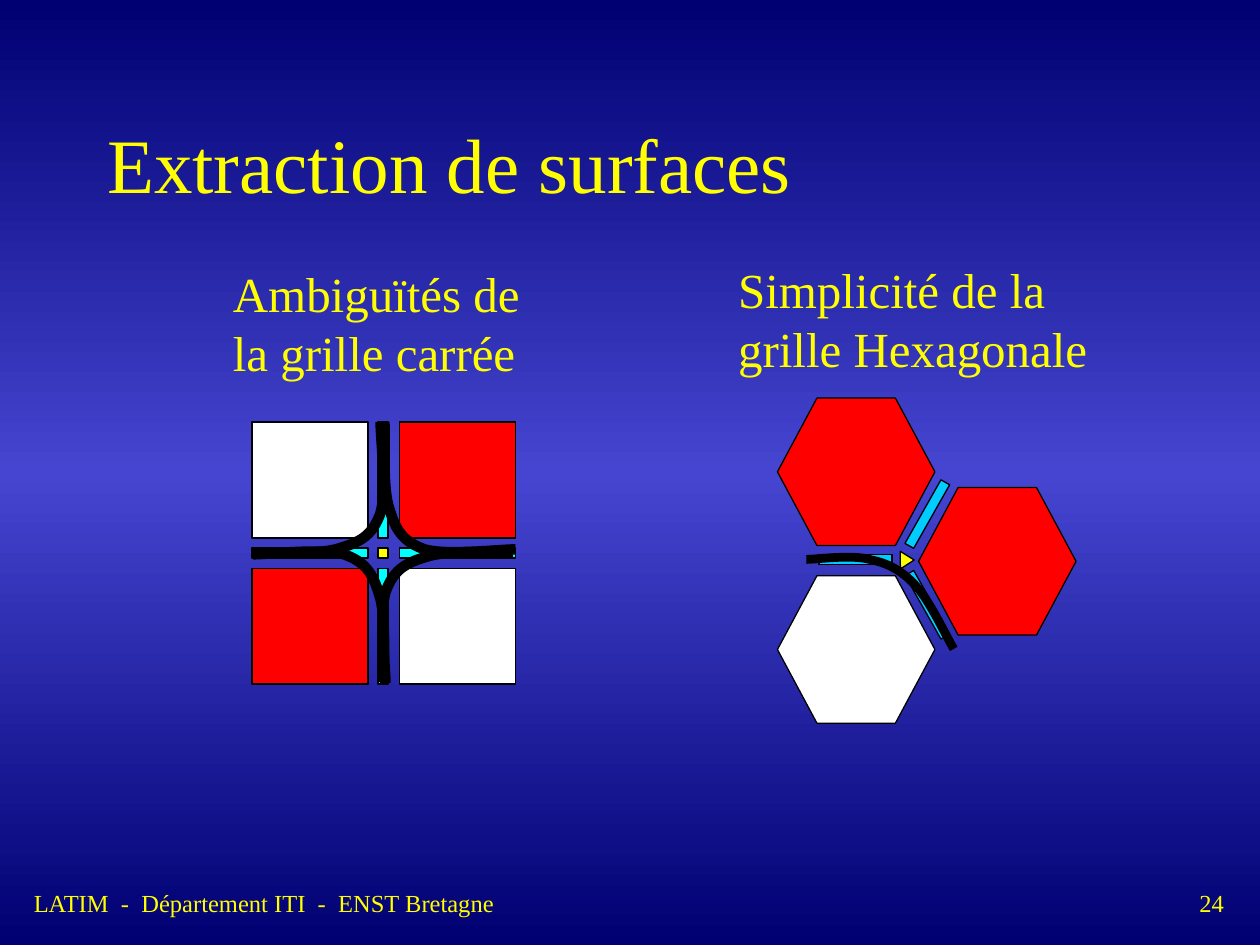
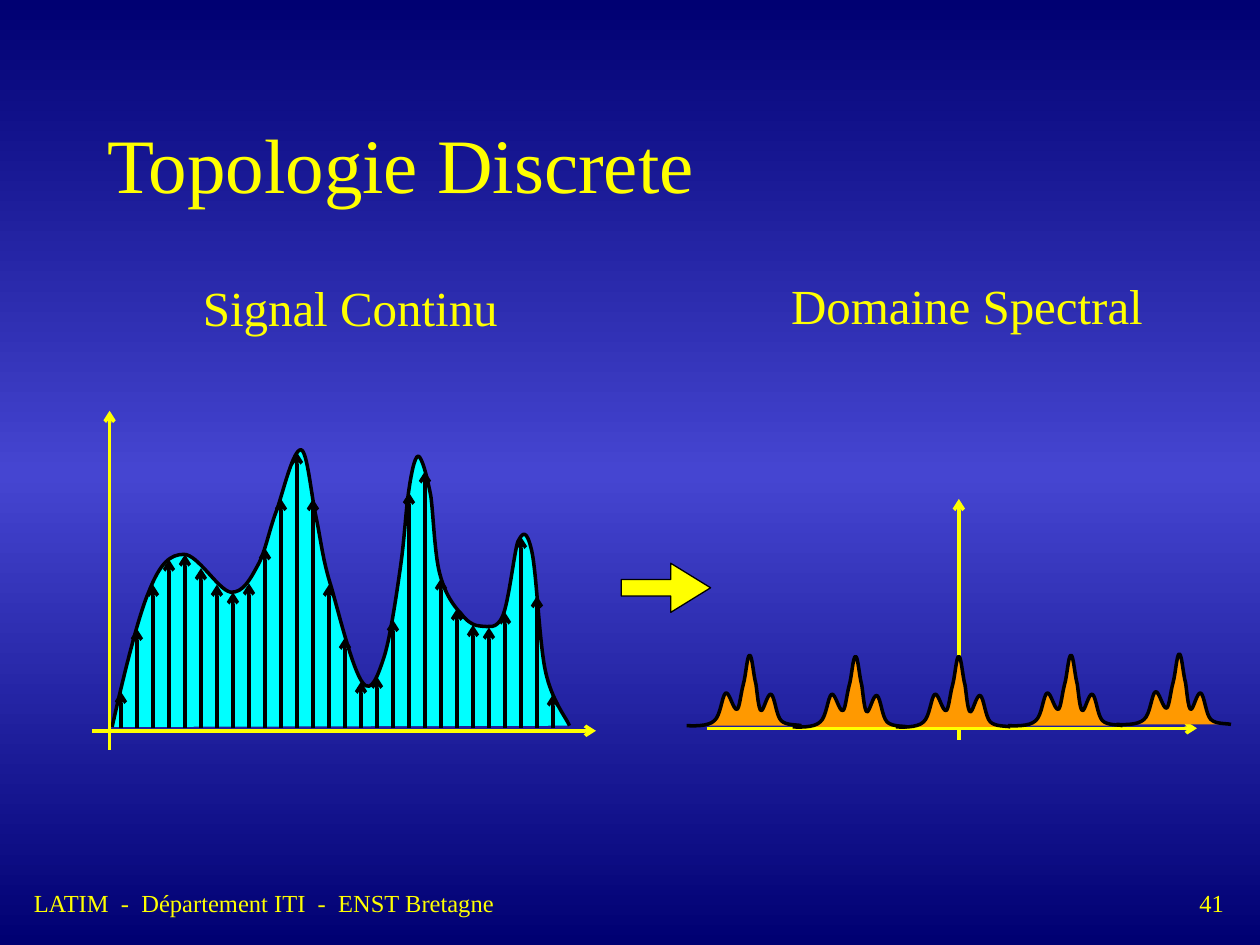
from copy import deepcopy
from itertools import product

from pptx import Presentation
from pptx.dml.color import RGBColor
from pptx.enum.shapes import MSO_CONNECTOR, MSO_SHAPE as SHAPE
from pptx.enum.text import MSO_ANCHOR, MSO_AUTO_SIZE, PP_ALIGN as ALIGN
from pptx.oxml.ns import qn
from pptx.oxml.xmlchemy import OxmlElement
from pptx.util import Emu, Pt

PX = 9144  # 100 px to the inch

NAVY = RGBColor(0x00, 0x00, 0x72)
INDIGO = RGBColor(0x45, 0x45, 0xD1)
YELLOW = RGBColor(0xFF, 0xFF, 0x00)
WHITE = RGBColor(0xFF, 0xFF, 0xFF)
BLACK = RGBColor(0x00, 0x00, 0x00)
RED = RGBColor(0xFF, 0x00, 0x00)
CYAN = RGBColor(0x00, 0xFF, 0xFF)
SKY = RGBColor(0x00, 0xCC, 0xFF)
ORANGE = RGBColor(0xFF, 0x99, 0x00)

FOOTER = "LATIM  -  Département ITI  -  ENST Bretagne"

# Each curve: a start point, then three points for each Bézier segment.
SURFACE_ARM = [
    (201, 440), (213, 440), (256, 435), (273, 440),
    (290, 446), (296, 455), (301, 472), (307, 489), (304, 530), (305, 541)]
ARM_PLACES = [(201, 435, 0), (303, 335, 180), (301, 436, 270), (201, 335, 90)]

HEX_SURFACE = [
    (640, 444), (648, 444), (676, 440), (690, 444),
    (705, 447), (716, 453), (727, 465), (738, 477), (751, 505), (757, 515)]

SIGNAL = [
    (89, 577), (93, 559), (108, 493), (118, 470),
    (127, 447), (135, 440), (146, 440), (157, 440), (173, 468), (183, 470),
    (193, 471), (199, 459), (205, 448), (211, 437), (214, 419), (220, 404),
    (225, 389), (233, 356), (239, 357), (244, 358), (247, 393), (251, 411),
    (255, 430), (256, 444), (263, 466), (269, 487), (280, 532), (288, 542),
    (295, 551), (300, 536), (305, 521), (310, 505), (315, 470), (318, 449),
    (321, 428), (322, 407), (324, 393), (326, 378), (329, 362), (332, 362),
    (335, 363), (339, 378), (342, 394), (344, 409), (345, 440), (349, 455),
    (353, 471), (360, 481), (366, 487), (371, 494), (377, 497), (382, 497),
    (388, 497), (394, 500), (399, 489), (404, 477), (408, 439), (411, 430),
    (415, 422), (418, 420), (422, 437), (426, 455), (428, 510), (433, 533),
    (438, 556), (449, 569), (452, 576)]

SAMPLE_TOPS = [
    549, 499, 464, 444, 440, 451, 464, 470, 463, 435, 396, 359, 396, 464,
    506, 541, 537, 492, 391, 374, 459, 483, 496, 498, 486, 426, 473, 551]
SAMPLE_LEFT, SAMPLE_STEP, SAMPLE_BASE = 96, 12.7, 578

SPECTRUM = [
    (711, 577), (715, 577), (728, 578), (733, 573),
    (738, 569), (739, 553), (742, 551), (745, 550), (748, 565), (751, 564),
    (753, 563), (754, 551), (756, 544), (758, 537), (759, 521), (761, 521),
    (763, 521), (764, 537), (766, 544), (767, 551), (768, 564), (770, 565),
    (772, 566), (775, 551), (778, 552), (781, 554), (782, 569), (786, 573),
    (790, 577), (799, 576), (802, 577)]
SPECTRUM_PLACES = [(711, 521), (800, 520), (886, 519), (629, 521), (545, 520)]


def px(*lengths):
    return [Emu(round(n * PX)) for n in lengths]


class Deck:
    FONT = {"name": "Times New Roman", "bold": False}

    def __init__(self):
        self.prs = Presentation()
        self.prs.slide_width, self.prs.slide_height = px(1000, 750)
        self.slide = None
        self.paint_master()

    def paint_master(self):
        master = self.prs.slide_master
        fill = master.background.fill
        fill.gradient()
        fill.gradient_angle = 90
        stops = master.element.find(".//" + qn("a:gsLst"))
        while len(stops) > 2:
            stops.remove(stops[-1])
        stops.insert(1, deepcopy(stops[0]))
        for stop, (position, color) in zip(
                fill.gradient_stops, [(0, NAVY), (0.5, INDIGO), (1, NAVY)]):
            stop.position = position
            stop.color.rgb = color

    def new_slide(self, title, number):
        self.slide = self.prs.slides.add_slide(self.prs.slide_layouts[5])
        self.text(number, 942, 700, 58, 34, 14, before=8.8)
        self.text(FOOTER, 17, 700, 717, 34, 14, before=8.8)
        sp = self.slide.shapes.title
        sp.left, sp.top, sp.width, sp.height = px(75, 67, 850, 125)
        self.fill_frame(sp.text_frame, title, 44, anchor=MSO_ANCHOR.MIDDLE)

    def fill_frame(self, tf, text, size, align=ALIGN.LEFT, before=0,
                   anchor=MSO_ANCHOR.TOP):
        tf.text = text
        frame = {"word_wrap": True, "auto_size": MSO_AUTO_SIZE.NONE,
                 "vertical_anchor": anchor}
        for key, value in frame.items():
            setattr(tf, key, value)
        p = tf.paragraphs[0]
        p.alignment = align
        p.space_before = Pt(before)
        for r in p.runs:
            for key, value in {**self.FONT, "size": Pt(size)}.items():
                setattr(r.font, key, value)
            r.font.color.rgb = YELLOW

    def text(self, text, x, y, w, h, size, **style):
        sp = self.slide.shapes.add_textbox(*px(x, y, w, h))
        self.fill_frame(sp.text_frame, text, size, **style)

    def heading(self, text, x, y, w, h, align=ALIGN.LEFT):
        self.text(text, x, y, w, h, 28, align=align, before=17.5)

    def paint(self, sp, fill, width):
        sp.shadow.inherit = False
        if fill is None:
            sp.fill.background()
        else:
            sp.fill.solid()
            sp.fill.fore_color.rgb = fill
        sp.line.color.rgb = BLACK
        sp.line.width = Pt(width)

    def shape(self, kind, x, y, w, h, fill, rotation=0, adjust=()):
        sp = self.slide.shapes.add_shape(kind, *px(x, y, w, h))
        for i, value in enumerate(adjust):
            sp.adjustments[i] = value
        sp.rotation = rotation
        self.paint(sp, fill, 0.75)

    def curve(self, points, width, fill=None, at=None, rotation=0):
        """Draw Bézier segments, moved to the corner `at` when given."""
        start, *rest = [px(*point) for point in points]
        builder = self.slide.shapes.build_freeform(*start)
        builder.add_line_segments(rest, close=False)
        sp = builder.convert_to_shape()
        outline = sp.element.find(".//" + qn("a:path"))
        lines = outline.findall(qn("a:lnTo"))
        for i in range(0, len(lines), 3):
            bezier = OxmlElement("a:cubicBezTo")
            for line in lines[i:i + 3]:
                bezier.append(line[0])
                outline.remove(line)
            outline.append(bezier)
        if at:
            sp.left, sp.top = px(*at)
        sp.rotation = rotation
        self.paint(sp, fill, width)

    def arrow(self, x1, y1, x2, y2, color):
        c = self.slide.shapes.add_connector(
            MSO_CONNECTOR.STRAIGHT, *px(x1, y1, x2, y2))
        c.line.color.rgb = color
        c.line.width = Pt(2)
        spPr = c.element.spPr
        head = OxmlElement("a:tailEnd")
        head.set("type", "arrow")
        spPr.find(qn("a:ln")).append(head)
        spPr.append(OxmlElement("a:effectLst"))


def surfaces_slide(deck):
    deck.new_slide("Extraction de surfaces", "24")
    deck.heading("Ambiguïtés de \vla grille carrée", 175, 204, 272, 104)
    deck.heading("Simplicité de la grille Hexagonale", 576, 201, 308, 104)

    columns = [(200, 92), (300, 8), (317, 92)]
    rows = [(335, 92), (435, 8), (451, 92)]
    colors = [WHITE, CYAN, RED,
              CYAN, YELLOW, CYAN,
              RED, CYAN, WHITE]
    for ((y, h), (x, w)), color in zip(product(rows, columns), colors):
        deck.shape(SHAPE.RECTANGLE, x, y, w, h, color)

    for x, y, color in [(617, 316, RED), (617, 457, WHITE), (729, 387, RED)]:
        deck.shape(SHAPE.HEXAGON, x, y, 125, 117, color, adjust=[0.268])
    for x, y, angle in [(650, 440, 0), (707, 404, 299.5), (707, 476, 60.5)]:
        deck.shape(SHAPE.RECTANGLE, x, y, 58, 8, SKY, angle)
    deck.shape(SHAPE.ISOSCELES_TRIANGLE, 713, 439, 14, 11, YELLOW, 89.4)

    for x, y, angle in ARM_PLACES:
        deck.curve(SURFACE_ARM, 6, at=(x, y), rotation=angle)
    deck.curve(HEX_SURFACE, 5)


def topology_slide(deck):
    deck.new_slide("Topologie Discrete", "41")
    deck.heading("Signal Continu", 129, 215, 298, 57, ALIGN.CENTER)
    deck.heading("Domaine Spectral", 601, 214, 333, 57, ALIGN.CENTER)

    deck.curve(SIGNAL, 2, CYAN)
    deck.arrow(73, 580, 473, 580, YELLOW)
    deck.arrow(87, 595, 87, 326, YELLOW)
    for i, top in enumerate(SAMPLE_TOPS):
        x = SAMPLE_LEFT + i * SAMPLE_STEP
        deck.arrow(x, SAMPLE_BASE, x, top, BLACK)

    deck.shape(SHAPE.RIGHT_ARROW, 493, 447, 71, 39, YELLOW,
               adjust=[0.333, 0.811])

    deck.arrow(761, 587, 761, 396, YELLOW)
    deck.arrow(561, 578, 950, 578, YELLOW)
    for place in SPECTRUM_PLACES:
        deck.curve(SPECTRUM, 2, ORANGE, at=place)


def main():
    deck = Deck()
    surfaces_slide(deck)
    topology_slide(deck)
    deck.prs.save("out.pptx")


if __name__ == "__main__":
    main()
